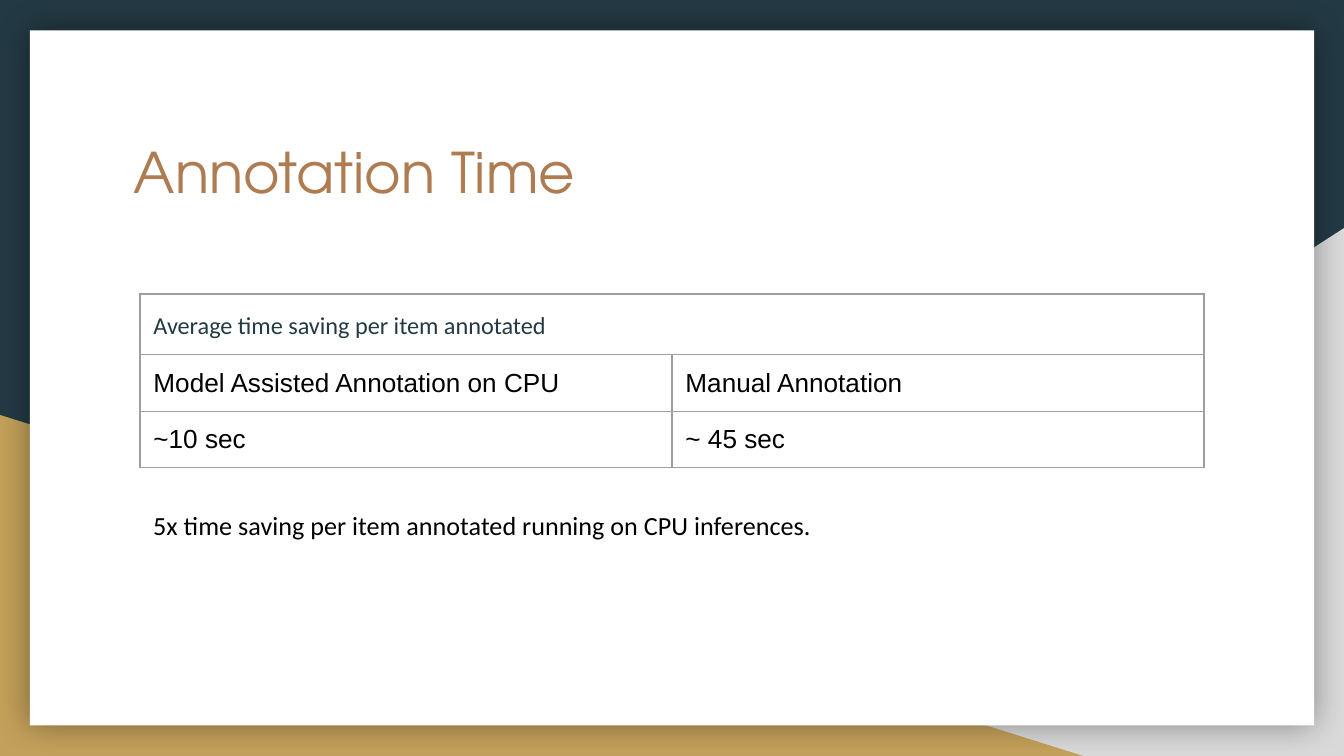
"""Build the Annotation Time slide with its comparison table."""
from pptx import Presentation
from pptx.dml.color import RGBColor
from pptx.enum import shapes, text
from pptx.oxml import parse_xml
from pptx.oxml.ns import nsdecls
from pptx.util import Pt


def rgb(value):
    return RGBColor.from_string(value)


def style(tf, font, size, color):
    tf.word_wrap = True
    tf.margin_left = tf.margin_right = tf.margin_top = tf.margin_bottom = Pt(7.2)
    tf.vertical_anchor = text.MSO_ANCHOR.TOP
    p = tf.paragraphs[0]
    p.alignment = text.PP_ALIGN.LEFT
    for r in p.runs:
        r.font.name = font
        r.font.size = Pt(size)
        r.font.color.rgb = rgb(color)


prs = Presentation()
prs.slide_width, prs.slide_height = Pt(720), Pt(405)
s = prs.slides.add_slide(prs.slide_layouts[5])
s.background.fill.solid()
s.background.fill.fore_color.rgb = rgb("233A44")

TRIANGLE = shapes.MSO_SHAPE.RIGHT_TRIANGLE
RECT = shapes.MSO_SHAPE.RECTANGLE
backdrop = [
    (TRIANGLE, (282.2, 122.2, 437.8, 282.8), "D9D9D9"),
    (TRIANGLE, (0, 222.3, 580.3, 182.7), "C4A15A"),
    (RECT, (16, 16.3, 688, 372.4), "FFFFFF"),
]
panels = []
for kind, box, color in backdrop:
    sp = s.shapes.add_shape(kind, *map(Pt, box))
    sp.shadow.inherit = False
    sp.fill.solid()
    sp.fill.fore_color.rgb = rgb(color)
    sp.line.fill.background()
    panels.append(sp)
gray_corner, gold_corner, white_panel = panels
gray_corner._element.spPr.xfrm.set("flipH", "1")
white_panel._element.spPr.find("{*}effectLst").append(parse_xml(
    f'<a:outerShdw {nsdecls("a")} blurRad="{Pt(18)}" dist="0" dir="0" '
    'algn="ctr" rotWithShape="0"><a:srgbClr val="000000">'
    '<a:alpha val="40000"/></a:srgbClr></a:outerShdw>'))

title = s.shapes.title
s.shapes._spTree.append(title._element)
title.left, title.top, title.width, title.height = map(Pt, (64.4, 66.6, 591.1, 74.9))
title.text_frame.text = "Annotation Time"
title.text_frame.auto_size = text.MSO_AUTO_SIZE.NONE
style(title.text_frame, "TeX Gyre Adventor", 30, "AF7B51")

rows = [
    ["Average time saving per item annotated"],
    ["Model Assisted Annotation on CPU", "Manual Annotation"],
    ["~10 sec", "~ 45 sec"],
]
frame = s.shapes.add_table(3, 2, Pt(75), Pt(157.5), Pt(570), Pt(90))
table = frame.table
table.first_row = table.horz_banding = False
table.cell(0, 0).merge(table.cell(0, 1))
for i, row in enumerate(rows):
    table.rows[i].height = Pt(30)
    font, size, color = ("Arial", 14, "000000") if i else ("Calibri", 13, "233A44")
    for j, cell in enumerate(table.rows[i].cells):
        tcPr = cell._tc.get_or_add_tcPr()
        for side in ("lnL", "lnR", "lnT", "lnB"):
            tcPr.append(parse_xml(
                f'<a:{side} {nsdecls("a")} w="{Pt(0.75)}"><a:solidFill>'
                f'<a:srgbClr val="9E9E9E"/></a:solidFill></a:{side}>'))
        cell.fill.background()
        if j < len(row):
            cell.text_frame.text = row[j]
            style(cell.text_frame, font, size, color)
            cell.margin_left = cell.margin_right = Pt(7.2)
            cell.margin_top = cell.margin_bottom = Pt(7.2)
p = table.cell(0, 0).text_frame.paragraphs[0]
p.line_spacing, p.space_after = 1.15, Pt(12)

note = s.shapes.add_textbox(*map(Pt, (75, 265.7, 568.1, 31.7)))
note.text_frame.text = "5x time saving per item annotated running on CPU inferences."
note.text_frame.auto_size = text.MSO_AUTO_SIZE.SHAPE_TO_FIT_TEXT
style(note.text_frame, "Calibri", 14, "000000")

prs.save("out.pptx")
